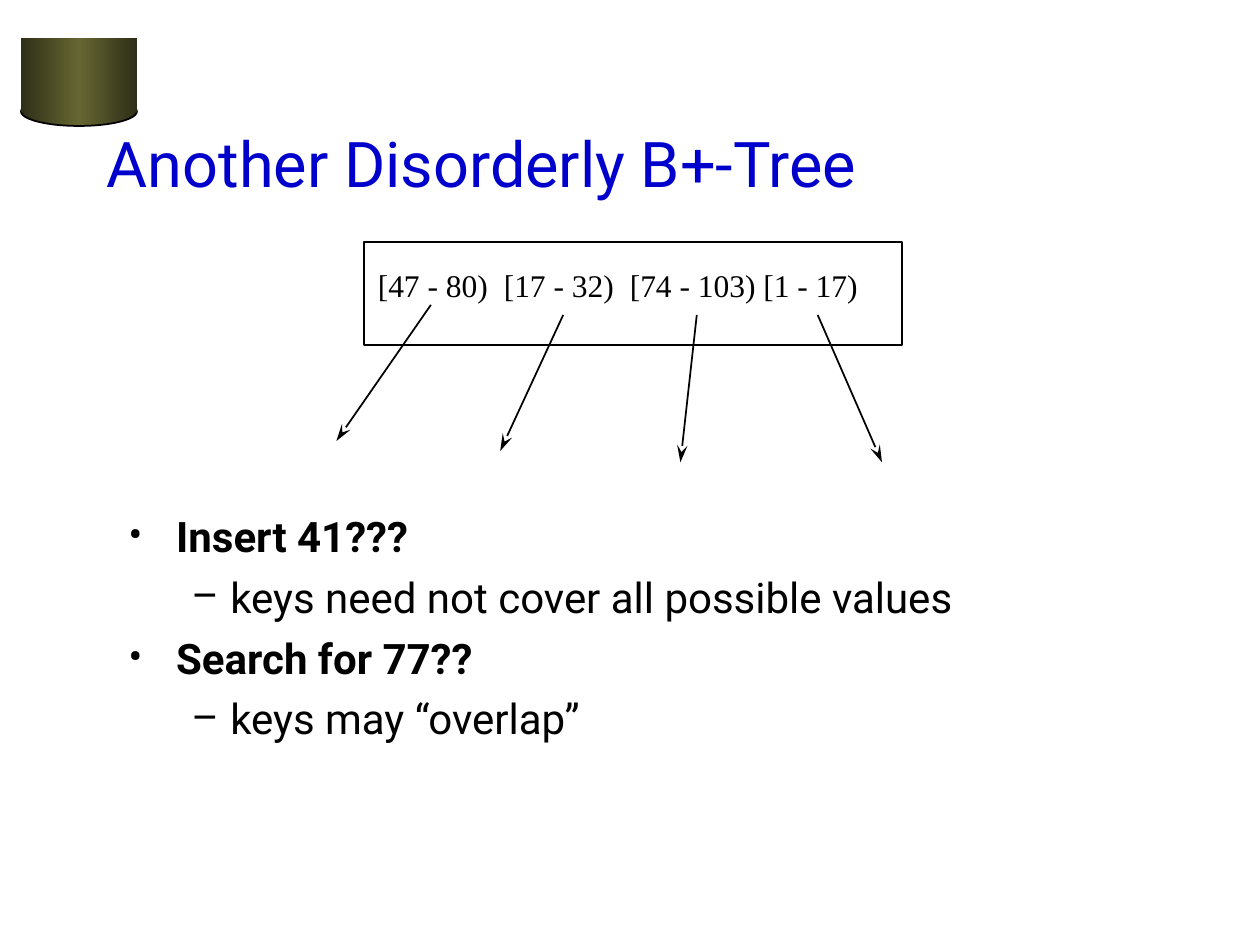
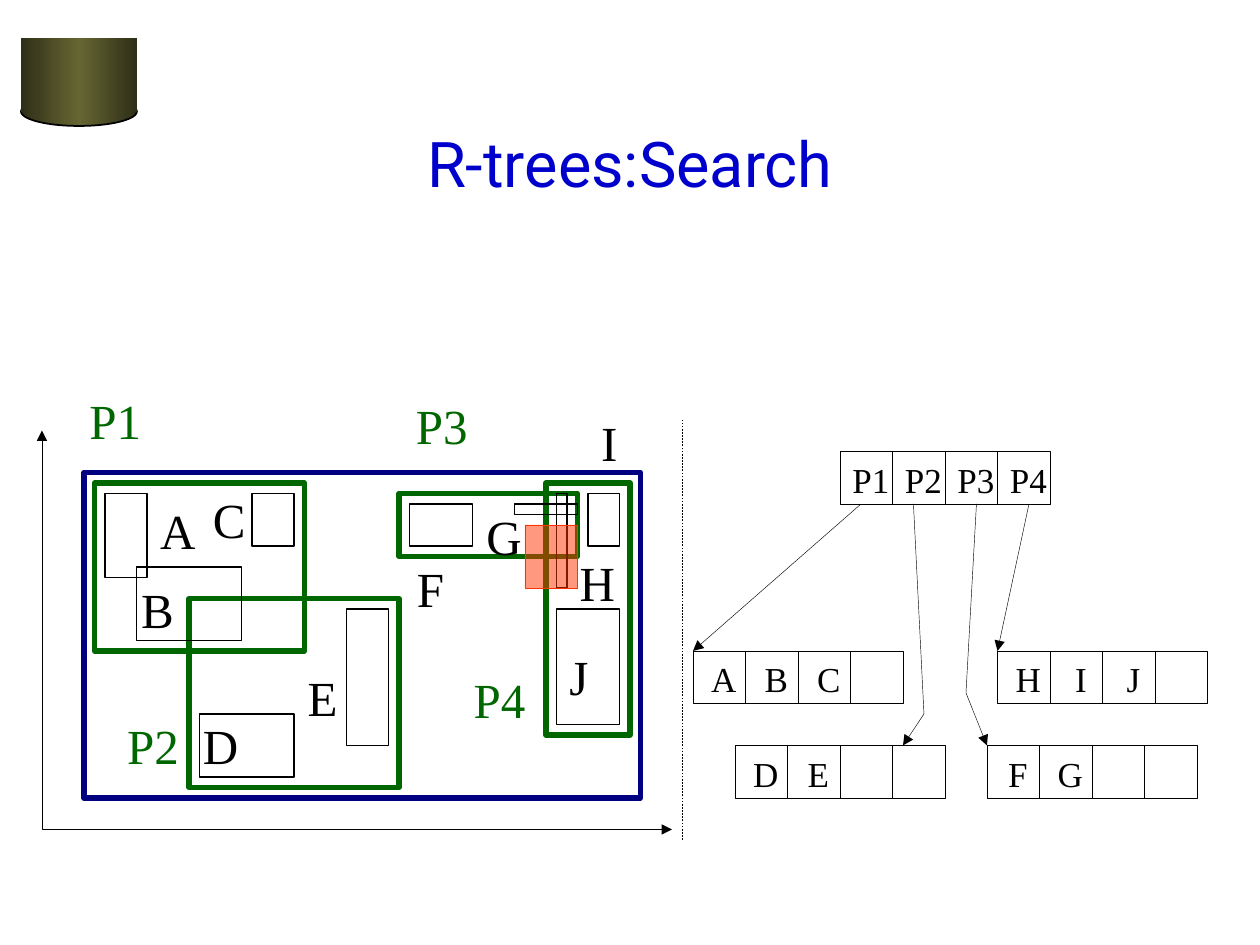
import copy
import lxml.etree
import pptx
import pptx.dml.color
import pptx.enum.dml
import pptx.enum.shapes
import pptx.enum.text
import pptx.oxml.ns
import pptx.util

Inches = pptx.util.Inches
Pt = pptx.util.Pt
RGBColor = pptx.dml.color.RGBColor
SHAPE = pptx.enum.shapes.MSO_SHAPE
ALIGN = pptx.enum.text.PP_ALIGN
ANCHOR = pptx.enum.text.MSO_ANCHOR
FIT = pptx.enum.text.MSO_AUTO_SIZE
qn = pptx.oxml.ns.qn

BLACK = RGBColor(0x00, 0x00, 0x00)
BLUE = RGBColor(0x00, 0x00, 0xCC)
NAVY = RGBColor(0x00, 0x00, 0x80)
GREEN = RGBColor(0x00, 0x66, 0x00)
RED = RGBColor(0xFF, 0x33, 0x00)
OLIVE = RGBColor(0x66, 0x66, 0x33)
DARK = RGBColor(0x2F, 0x2F, 0x18)
SANS = "Roboto"
SERIF = "Times New Roman"
UNIT = 1 / 12
CELL = 5
THIN = 0.25


def grid(*steps):
    return tuple(step * UNIT for step in steps)


def node(parent, tag, **attrs):
    return lxml.etree.SubElement(parent, qn(tag), attrs)


def frame(slide, box, anchor=ANCHOR.TOP, wrap=True):
    area = slide.shapes.add_textbox(*map(Inches, box)).text_frame
    area.word_wrap = wrap
    area.vertical_anchor = anchor
    if not wrap:
        area.auto_size = FIT.SHAPE_TO_FIT_TEXT
    return area


def text(area, words, size=18, font=SERIF, color=BLACK, bold=False,
         align=ALIGN.LEFT, level=0, bullet=None, indent=None, before=0, tabs=()):
    first = not area.paragraphs[0].runs
    para = area.paragraphs[0] if first else area.add_paragraph()
    props = para._p.get_or_add_pPr()
    if bullet:
        left, hang = indent
        props.set("marL", str(Inches(left)))
        props.set("indent", str(Inches(hang)))
        node(props, "a:buFont", typeface=font)
        node(props, "a:buChar", char=bullet)
    if tabs:
        stops = node(props, "a:tabLst")
        for stop in tabs:
            node(stops, "a:tab", pos=str(Inches(stop)), algn="l")
    para.level = level
    para.alignment = align
    if before and not first:
        para.space_before = Pt(before)
    run = para.add_run()
    run.text = words
    run.font.size = Pt(size)
    run.font.name = font
    run.font.bold = bold
    run.font.color.rgb = color


def label(slide, words, box, **style):
    text(frame(slide, box, ANCHOR.MIDDLE, False), words, align=ALIGN.CENTER, **style)


def stroke(shape, color, width):
    shape.line.color.rgb = color
    shape.line.width = Pt(width)


def arrow(shape, tail, head=None):
    line = shape.line._get_or_add_ln()
    if head:
        node(line, "a:headEnd", type=head)
    size = "lg" if tail == "stealth" else "med"
    node(line, "a:tailEnd", type=tail, w="med", len=size)


def rect(slide, box, color=BLACK, width=0.75, kind=SHAPE.RECTANGLE):
    shape = slide.shapes.add_shape(kind, *map(Inches, box))
    shape.shadow.inherit = False
    shape.fill.background()
    stroke(shape, color, width)
    return shape


def link(slide, ends, width=THIN, tail=None, dash=None):
    line = slide.shapes.add_connector(
        pptx.enum.shapes.MSO_CONNECTOR.STRAIGHT, *map(Inches, ends))
    stroke(line, BLACK, width)
    node(line._element.spPr, "a:effectLst")
    if dash:
        line.line.dash_style = dash
    if tail:
        arrow(line, tail)


def path(slide, points, head=None):
    spots = [tuple(map(Inches, grid(*point))) for point in points]
    maker = slide.shapes.build_freeform(*spots[0])
    maker.add_line_segments(spots[1:], close=False)
    shape = maker.convert_to_shape()
    shape.shadow.inherit = False
    shape.fill.background()
    stroke(shape, BLACK, THIN)
    arrow(shape, "triangle", head)


def shade(shape):
    shape.fill.gradient()
    shape.fill.gradient_angle = 0
    stops = shape._element.spPr.find(".//" + qn("a:gsLst"))
    middle = copy.deepcopy(stops[0])
    middle.set("pos", "50000")
    stops.insert(1, middle)
    for stop, color in zip(shape.fill.gradient_stops, (DARK, OLIVE, DARK)):
        stop.color.rgb = color


def start(deck, title, align=ALIGN.LEFT):
    slide = deck.slides.add_slide(deck.slide_layouts[6])
    shade(rect(slide, (2 * UNIT, 0.77, 0.92, 0.23), width=1, kind=SHAPE.OVAL))
    drum = rect(slide, (2 * UNIT, 0.3, 0.92, 0.59))
    shade(drum)
    drum.line.fill.background()
    area = frame(slide, grid(9, 8, 102, 15), ANCHOR.MIDDLE)
    text(area, title, size=36, font=SANS, color=BLUE, align=align)
    return slide


def row(slide, left, top, names):
    for place in range(4):
        rect(slide, grid(left + place * CELL, top, CELL, CELL), width=THIN)
    for place, name in enumerate(names):
        x, y = grid(left + place * CELL, top)
        label(slide, name, (x - 0.03, y, 0.55, 0.44), size=20)


def btree(deck):
    slide = start(deck, "Another Disorderly B+-Tree")
    area = frame(slide, (0.92, 4, 8.5, 2.63))
    for head, point in (("Insert 41???", "keys need not cover all possible values"),
                        ("Search for 77??", "keys may “overlap”")):
        text(area, head, size=24, font=SANS, bold=True, bullet="•",
             indent=(0.38, -0.38), before=6)
        text(area, point, size=24, font=SANS, level=1, bullet="–",
             indent=(0.81, -0.31), before=6)
    rect(slide, (2.89, 1.92, 4.27, 0.82), width=1)
    for ends in ((3.42, 2.42, 2.67, 3.5), (4.47, 2.5, 3.97, 3.58),
                 (5.53, 2.5, 5.4, 3.67), (6.49, 2.5, 7, 3.67)):
        link(slide, ends, width=1, tail="stealth")
    keys = ("[47 - 80)", "[17 - 32)", "[74 - 103)", "[1 - 17)")
    text(frame(slide, (2.9, 2.06, 4.35, 0.4)), "\t".join(keys), tabs=(1, 2, 3.06))


def draw_map(slide):
    for box in ((9, 46, 20, 16), (52, 46, 8, 24), (18, 57, 20, 18), (38, 47, 17, 6)):
        rect(slide, grid(*box), GREEN, 3)
    for box in ((10, 47, 4, 8), (24, 47, 4, 5), (13, 54, 10, 7), (19, 68, 9, 6),
                (33, 58, 4, 13), (39, 48, 6, 4), (53, 58, 6, 11), (56, 47, 3, 5),
                (49, 48, 6, 1), (53, 47, 1, 9)):
        rect(slide, grid(*box))
    rect(slide, grid(8, 45, 53, 31), NAVY, 3)
    path(slide, ((4, 41), (4, 79), (64, 79)), head="triangle")
    for name, left, top, width in (
            ("A", 1.17, 3.92, 0.48), ("B", 1.02, 4.55, 0.46), ("C", 1.59, 3.83, 0.46),
            ("D", 1.51, 5.63, 0.48), ("E", 2.34, 5.25, 0.44), ("F", 3.21, 4.38, 0.41),
            ("G", 3.76, 3.97, 0.48), ("H", 4.5, 4.33, 0.48), ("I", 4.67, 3.22, 0.33),
            ("J", 4.42, 5.08, 0.35)):
        label(slide, name, (left, top, width, 0.57), size=28)
    for name, left, top in (("P1", 0.61, 3.05), ("P2", 0.91, 5.63),
                            ("P3", 3.2, 3.09), ("P4", 3.66, 5.26)):
        label(slide, name, (left, top, 0.61, 0.57), size=28, color=GREEN)


def draw_tree(slide):
    row(slide, 80, 43, ("P1", "P2", "P3", "P4"))
    for left, top, names in ((94, 71, "FG"), (70, 71, "DE"),
                             (95, 62, "HIJ"), (66, 62, "ABC")):
        row(slide, left, top, names)
    link(slide, grid(65, 80, 65, 40), dash=pptx.enum.dml.MSO_LINE.DASH)
    link(slide, grid(82, 48, 66, 62), tail="triangle")
    link(slide, grid(98, 48, 95, 62), tail="triangle")
    path(slide, ((87, 48), (88, 68), (86, 71)))
    path(slide, ((93, 48), (92, 66), (94, 71)))


def rtree(deck):
    slide = start(deck, "R-trees:Search", ALIGN.CENTER)
    draw_map(slide)
    draw_tree(slide)
    query = rect(slide, grid(50, 50, 5, 6), RED, THIN)
    query.fill.solid()
    query.fill.fore_color.rgb = RED
    tint = query._element.spPr.find(qn("a:solidFill"))[0]
    node(tint, "a:alpha", val="50000")


def main():
    deck = pptx.Presentation()
    deck.slide_width = Inches(10)
    deck.slide_height = Inches(7.5)
    btree(deck)
    rtree(deck)
    deck.save("out.pptx")


if __name__ == "__main__":
    main()
